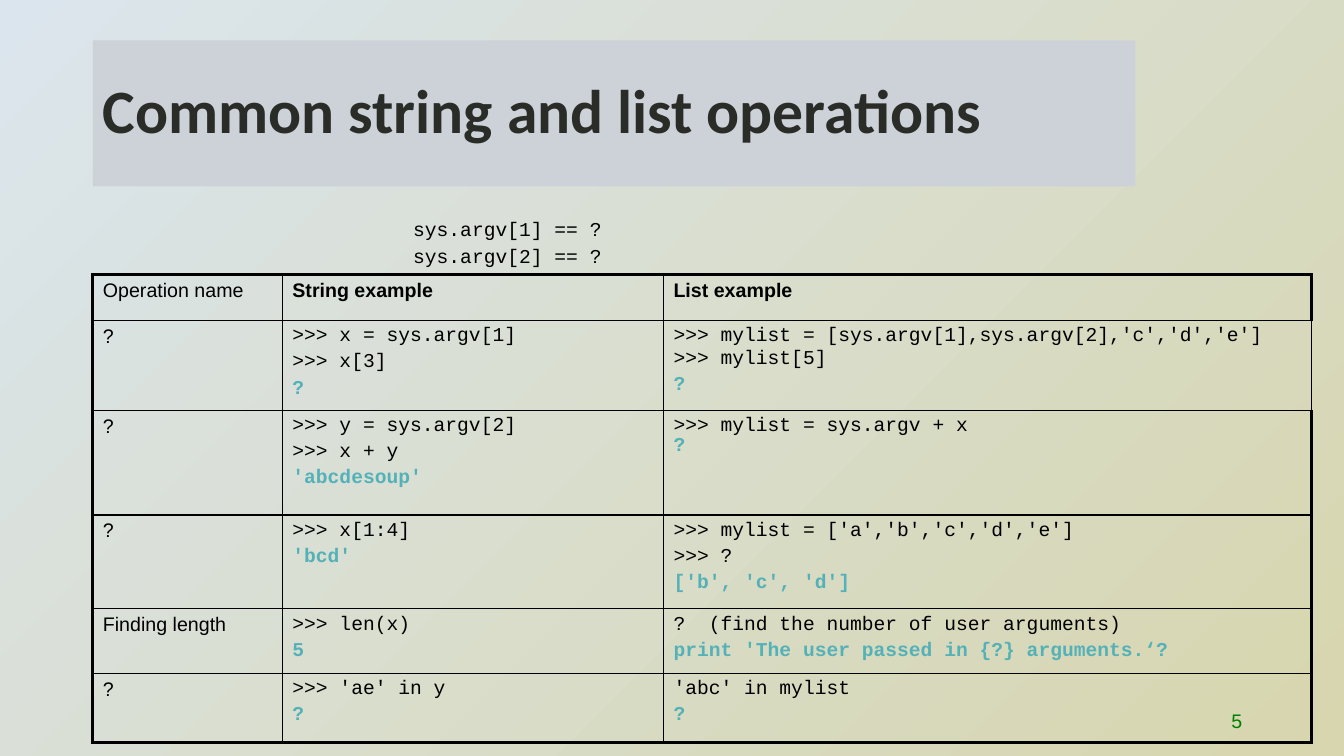
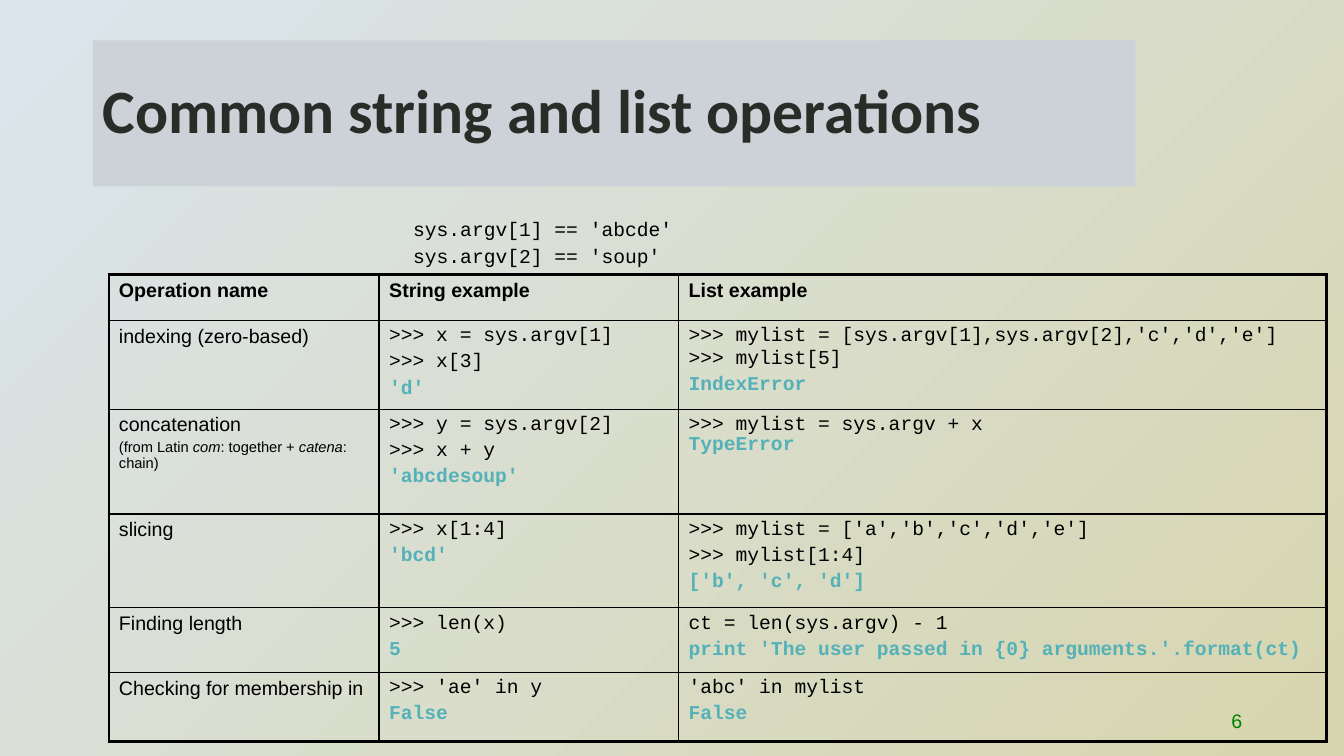
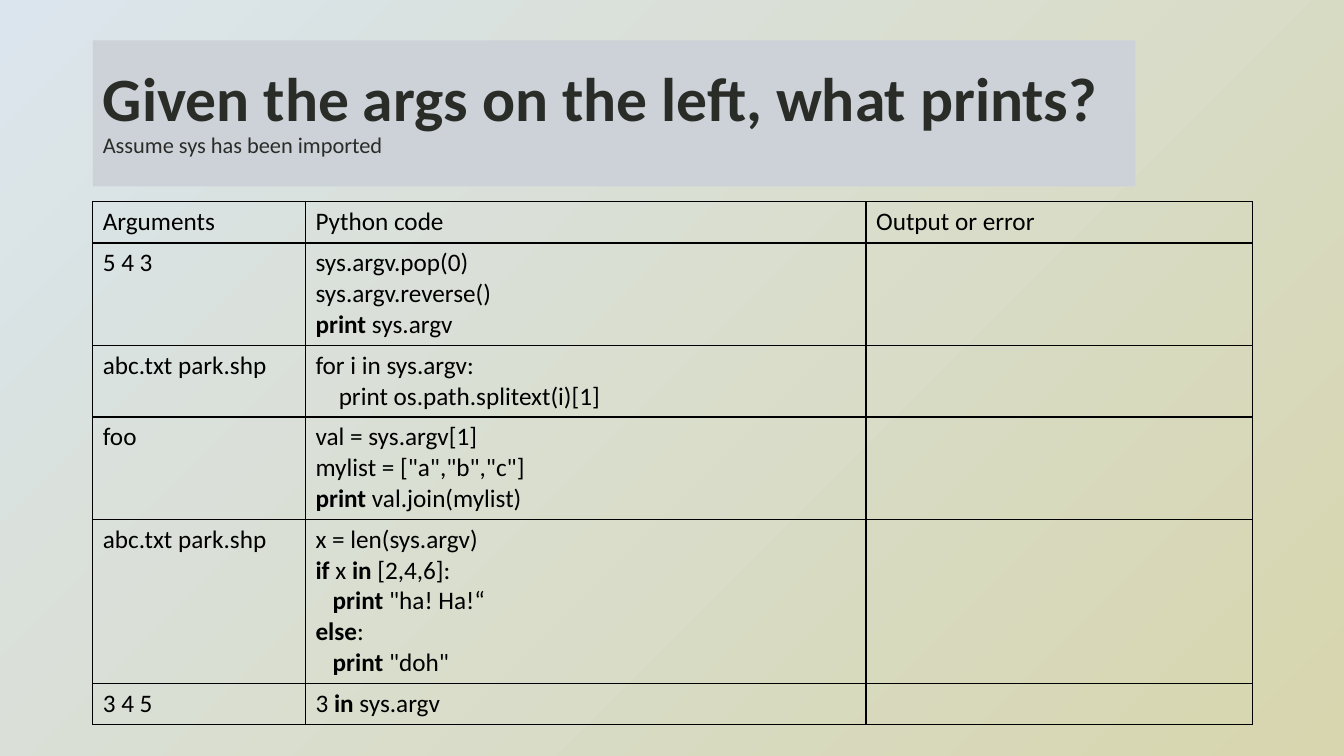
from lxml import etree
from pptx import Presentation
from pptx.dml.color import RGBColor
from pptx.enum import text as t
from pptx.oxml import ns
from pptx.util import Inches, Pt

COLORS = {
    "sky": "DBE5ED",
    "sand": "D7D6AE",
    "band": "CDD2D8",
    "title": "2A2C28",
    "ink": "000000",
    "answer": "54B1B8",
    "number": "008000",
}
SANS, MONO, BODY = "Arial", "Courier New", "Calibri"
THICK, THIN = 2.25, 1
BOLD = {"bold": True}
ANSWER = {"bold": True, "color": "answer"}

STRING_CODE = [
    [">>> x = sys.argv[1]", ">>> x[3]"],
    [">>> y = sys.argv[2]", ">>> x + y"],
    [">>> x[1:4]"],
    [">>> len(x)"],
    [">>> 'ae' in y"],
]
LIST_LEAD = [
    [">>> mylist = [sys.argv[1],sys.argv[2],'c','d','e']"],
    [],
    [">>> mylist = ['a','b','c','d','e']"],
    [],
    [],
]
QUESTIONS = [
    ("?", "?", ">>> mylist[5]", "?"),
    ("?", "'abcdesoup'", ">>> mylist = sys.argv + x", "?"),
    ("?", "'bcd'", ">>> ?", "['b', 'c', 'd']"),
    ("Finding length", "5", "?  (find the number of user arguments)",
     "print 'The user passed in {?} arguments.‘?"),
    ("?", "?", "'abc' in mylist", "?"),
]
SOLUTIONS = [
    ("indexing (zero-based)", "'d'", ">>> mylist[5]", "IndexError"),
    ("concatenation", "'abcdesoup'", ">>> mylist = sys.argv + x", "TypeError"),
    ("slicing", "'bcd'", ">>> mylist[1:4]", "['b', 'c', 'd']"),
    ("Finding length", "5", "ct = len(sys.argv) - 1",
     "print 'The user passed in {0} arguments.'.format(ct)"),
    ("Checking for membership in", "False", "'abc' in mylist", "False"),
]


def rgb(name):
    return RGBColor.from_string(COLORS[name])


def line(*runs, **layout):
    return runs, layout


def write(frame, lines, font=BODY, size=18, color="ink", bold=False,
          before=0, spacing=None, align=t.PP_ALIGN.LEFT):
    for index, (runs, layout) in enumerate(lines):
        paragraph = frame.add_paragraph() if index else frame.paragraphs[0]
        paragraph.alignment = align
        line_size = size
        for run_text in runs:
            content, style = run_text if isinstance(run_text, tuple) else (run_text, {})
            if content == "\n":
                paragraph.add_line_break()
                continue
            run = paragraph.add_run()
            run.text = content
            line_size = style.get("size", size)
            run.font.name = font
            run.font.size = Pt(line_size)
            run.font.bold = style.get("bold", bold)
            run.font.italic = style.get("italic", False)
            run.font.color.rgb = rgb(style.get("color", color))
        paragraph.space_before = Pt(layout.get("before", before) * line_size)
        paragraph.line_spacing = layout.get("spacing", spacing)
        if "indent" in layout:
            properties = paragraph._p.get_or_add_pPr()
            properties.set("marL", str(Inches(layout["indent"])))
            properties.set("indent", "0")


def add_title(slide, *runs):
    title = slide.shapes.title
    title.left, title.top = Inches(0.92), Inches(0.4)
    title.width, title.height = Inches(10.34), Inches(1.45)
    title.fill.solid()
    title.fill.fore_color.rgb = rgb("band")
    frame = title.text_frame
    frame.auto_size = t.MSO_AUTO_SIZE.NONE
    frame.vertical_anchor = t.MSO_ANCHOR.MIDDLE
    write(frame, [line(*runs)], size=44, color="title", bold=True, spacing=0.9)


def add_text(slide, left, top, width, height, lines,
             anchor=t.MSO_ANCHOR.TOP, **style):
    box = slide.shapes.add_textbox(*map(Inches, (left, top, width, height)))
    box.text_frame.word_wrap = True
    box.text_frame.vertical_anchor = anchor
    write(box.text_frame, lines, **style)


def set_borders(cell, **widths):
    properties = cell._tc.get_or_add_tcPr()
    for side in "LRTB":
        border = etree.SubElement(properties, ns.qn(f"a:ln{side}"),
                                  w=str(Pt(widths[side])))
        fill = etree.SubElement(border, ns.qn("a:solidFill"))
        etree.SubElement(fill, ns.qn("a:srgbClr"), val=COLORS["ink"])


def add_table(slide, left, top, widths, heights, rows, outer=THIN,
              thin_right=(), **style):
    frame = slide.shapes.add_table(
        len(heights), len(widths), Inches(left), Inches(top),
        Inches(sum(widths)), Inches(sum(heights)))
    table = frame.table
    table.first_row = table.horz_banding = False
    for column, width in zip(table.columns, widths):
        column.width = Inches(width)
    for row, height in zip(table.rows, heights):
        row.height = Inches(height)
    last_row, last_column = len(heights) - 1, len(widths) - 1
    for r, row in enumerate(rows):
        for c, (lines, cell_style) in enumerate(row):
            cell = table.cell(r, c)
            right_edge = c == last_column and r not in thin_right
            set_borders(cell,
                        L=outer if c == 0 else THIN,
                        R=outer if right_edge else THIN,
                        T=outer if r == 0 else THIN,
                        B=outer if r == last_row else THIN)
            cell.fill.background()
            write(cell.text_frame, lines, **{**style, **cell_style})


def operation_rows(entries, heading_bold, origin):
    headings = ("Operation name", "String example", "List example")
    rows = [[([line(heading)], {"bold": bold})
             for heading, bold in zip(headings, (heading_bold, True, True))]]
    for index, (name, string_answer, list_code, list_answer) in enumerate(entries):
        names = [line(name)]
        if name == "concatenation":
            names.append(origin)
        strings = [line(code) for code in STRING_CODE[index]]
        strings.append(line((string_answer, ANSWER)))
        layout = {0: {"before": 0}, 1: {"before": 0, "spacing": 0.9}}.get(index, {})
        lists = [line(code, **layout) for code in LIST_LEAD[index] + [list_code]]
        lists.append(line((list_answer, ANSWER), **(layout if index == 1 else {})))
        rows.append([(names, {}), (strings, {"font": MONO}), (lists, {"font": MONO})])
    return rows


def add_operations(slide, number, arguments, left, widths, indexing_height,
                   entries, heading_bold, thin_right=()):
    small = {"size": 10.5}
    latin = {"size": 10.5, "italic": True}
    origin = line(("(from Latin ", small), ("com", latin), (": together + ", small),
                  ("catena", latin), (": chain)", small))
    add_title(slide, "Common string and list operations")
    add_text(slide, 9.42, 6.95, 3, 0.4, [line(str(number))], t.MSO_ANCHOR.MIDDLE,
             font=SANS, size=14, color="number", align=t.PP_ALIGN.RIGHT)
    add_table(slide, left, 2.72, widths,
              [0.46, indexing_height, 1.04, 0.93, 0.64, 0.69],
              operation_rows(entries, heading_bold, origin), outer=THICK,
              thin_right=thin_right, font=SANS, size=14, before=0.2)
    add_text(slide, 4, 2.1, 3, 0.62,
             [line(f"sys.argv[{i}] == {value}") for i, value in enumerate(arguments, 1)],
             font=MONO, size=14, before=0.2)


def add_quiz(slide):
    add_title(slide, "Given the args on the left, what prints?", "\n",
              ("Assume sys has been imported", {"size": 16, "bold": False}))
    show = ("print ", BOLD)
    exercises = [
        ("Arguments", [line("Python code")]),
        ("5 4 3", [line("sys.argv.pop(0)"), line("sys.argv.reverse()"),
                   line(show, "sys.argv")]),
        ("abc.txt park.shp", [line("for i in sys.argv:"),
                              line("print os.path.splitext(i)[1]", indent=0.23)]),
        ("foo", [line("val = sys.argv[1]"), line('mylist = ["a","b","c"]'),
                 line(show, "val.join(mylist)")]),
        ("abc.txt park.shp", [line("x = len(sys.argv)"),
                              line(("if", BOLD), " x ", ("in", BOLD), " [2,4,6]:"),
                              line(show, '"ha! Ha!“', indent=0.17),
                              line(("else", BOLD), ":"),
                              line(show, '"doh"', indent=0.17)]),
        ("3 4 5", [line("3 ", ("in ", BOLD), "sys.argv")]),
    ]
    rows = [[([line(arguments)], {}), (code, {}),
             ([] if index else [line("Output or error")], {})]
            for index, (arguments, code) in enumerate(exercises)]
    heights = [0.41 + 0.3 * (len(code) - 1) for _, code in exercises]
    add_table(slide, 0.92, 2, [2.11, 5.56, 3.83], heights, rows)


def set_background(master):
    fill = master.background.fill
    fill.gradient()
    fill.gradient_angle = 315
    for stop, name in zip(fill.gradient_stops, ("sky", "sand")):
        stop.color.rgb = rgb(name)


def main():
    deck = Presentation()
    deck.slide_width, deck.slide_height = Inches(13.33), Inches(7.5)
    set_background(deck.slide_master)
    questions, solutions, quiz = (
        deck.slides.add_slide(deck.slide_layouts[5]) for _ in range(3))
    add_operations(questions, 5, ("?", "?"), 0.92, [1.88, 3.78, 6.43], 0.89,
                   QUESTIONS, heading_bold=False, thin_right=(1,))
    add_operations(solutions, 6, ("'abcde'", "'soup'"), 1.08, [2.68, 2.97, 6.43], 0.84,
                   SOLUTIONS, heading_bold=True)
    add_quiz(quiz)
    deck.save("out.pptx")


if __name__ == "__main__":
    main()
